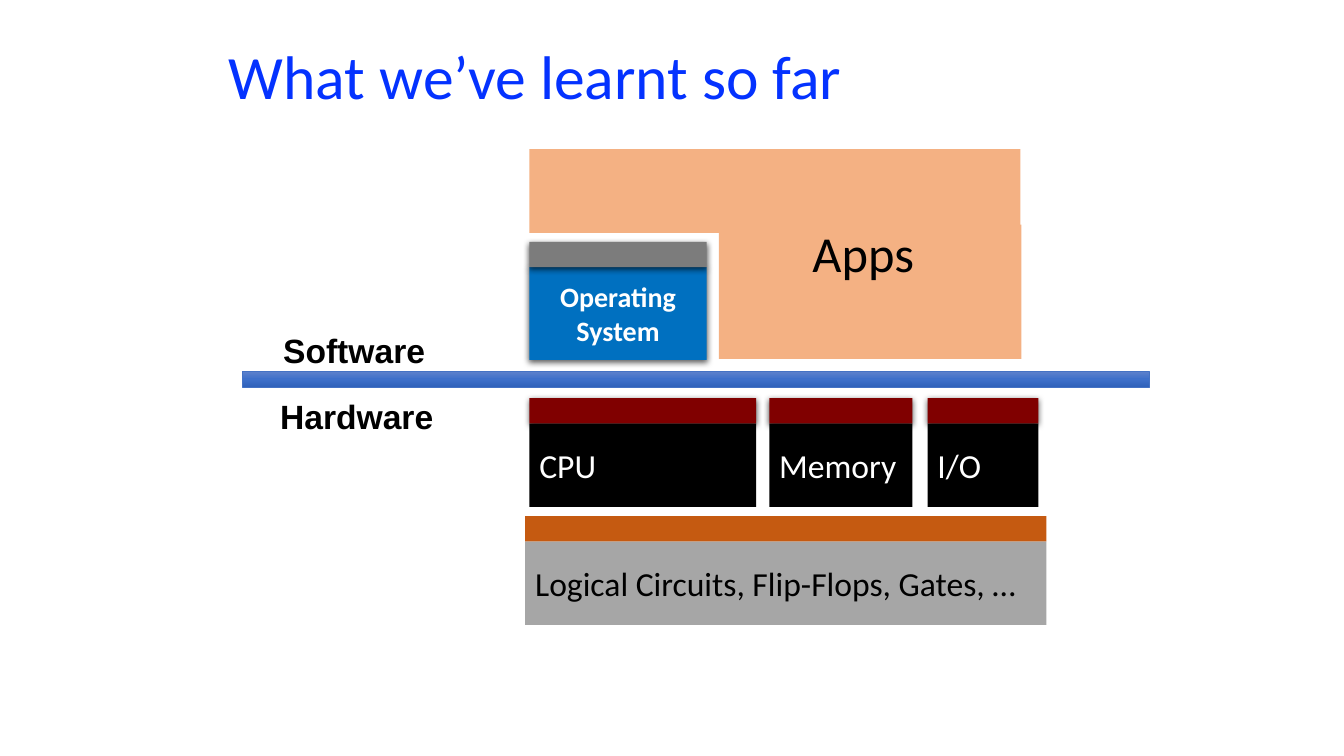
from lxml.etree import SubElement
from pptx import Presentation
from pptx.dml.color import RGBColor
from pptx.enum.shapes import MSO_SHAPE
from pptx.enum.text import MSO_ANCHOR, MSO_AUTO_SIZE, PP_ALIGN
from pptx.oxml.ns import qn
from pptx.util import Inches, Pt

CAP_HEIGHT = 0.25


def color(value):
    return RGBColor.from_string(value)


class LayerDiagram:
    """Draws the layers of a computer on one slide."""

    font = "Calibri"
    black = "000000"
    white = "FFFFFF"

    def __init__(self, deck):
        self.page = deck.slides.add_slide(deck.slide_layouts[5])

    def set_text(self, frame, text, size, ink, font=None, bold=False, align=PP_ALIGN.LEFT):
        frame.text = text
        para = frame.paragraphs[0]
        para.alignment = align
        for span in para.runs:
            span.font.name = font or self.font
            span.font.size = Pt(size)
            span.font.bold = bold
            span.font.color.rgb = color(ink)

    def title(self, text):
        title = self.page.shapes.title
        title.left, title.top = Inches(2.17), Inches(0.16)
        title.width, title.height = Inches(9), Inches(1.25)
        frame = title.text_frame
        frame.auto_size = MSO_AUTO_SIZE.NONE
        frame.vertical_anchor = MSO_ANCHOR.MIDDLE
        self.set_text(frame, text, 44, "0432FF")
        frame.paragraphs[0].line_spacing = 0.9

    def label(self, text, left, top, width, height, size, font=None, bold=False):
        box = self.page.shapes.add_textbox(
            Inches(left), Inches(top), Inches(width), Inches(height))
        box.text_frame.word_wrap = False
        box.text_frame.auto_size = MSO_AUTO_SIZE.SHAPE_TO_FIT_TEXT
        self.set_text(box.text_frame, text, size, self.black, font, bold)

    def bar(self, left, top, width, height, fill=None, shadow=False):
        bar = self.page.shapes.add_shape(
            MSO_SHAPE.RECTANGLE, Inches(left), Inches(top), Inches(width), Inches(height))
        bar.shadow.inherit = False
        bar.line.fill.background()
        if fill:
            bar.fill.solid()
            bar.fill.fore_color.rgb = color(fill)
        if shadow:
            self.cast_shadow(bar)
        return bar

    def cast_shadow(self, bar):
        effects = bar._element.spPr.find(qn("a:effectLst"))
        outer = SubElement(effects, qn("a:outerShdw"), blurRad=str(Pt(4.5)),
                           dist=str(Pt(1.5)), dir="5400000", rotWithShape="0")
        tint = SubElement(outer, qn("a:srgbClr"), val=self.black)
        SubElement(tint, qn("a:alpha"), val="63000")

    def block(self, text, left, top, width, height, fill, cap, ink,
              size=24, bold=False, align=PP_ALIGN.LEFT, shadow=False, cap_shadow=True):
        body = self.bar(left, top + CAP_HEIGHT, width, height, fill, shadow)
        body.text_frame.word_wrap = True
        body.text_frame.vertical_anchor = MSO_ANCHOR.MIDDLE
        self.set_text(body.text_frame, text, size, ink, bold=bold, align=align)
        self.bar(left, top, width, CAP_HEIGHT, cap, cap_shadow)

    def divider(self, left, top, width, height, stops):
        divider = self.bar(left, top, width, height)
        divider.line.color.rgb = color("4472C4")
        divider.line.width = Pt(0.5)
        divider.fill.gradient()
        gradient = divider._element.spPr.find(qn("a:gradFill"))
        for child in list(gradient):
            gradient.remove(child)
        stop_list = SubElement(gradient, qn("a:gsLst"))
        for position, value in stops:
            stop = SubElement(stop_list, qn("a:gs"), pos=str(position * 1000))
            SubElement(stop, qn("a:srgbClr"), val=value)
        SubElement(gradient, qn("a:lin"), ang="5400000", scaled="0")


def main():
    deck = Presentation()
    deck.slide_width, deck.slide_height = Inches(13.33), Inches(7.5)
    diagram = LayerDiagram(deck)
    diagram.title("What we’ve learnt so far")
    diagram.label("Hardware", 2.68, 3.88, 1.74, 0.5, 24, "Arial", True)
    diagram.label("Software", 2.71, 3.22, 1.62, 0.5, 24, "Arial", True)

    diagram.block("Logical Circuits, Flip-Flops, Gates, …", 5.21, 5.12, 5.17, 0.83,
                  "A6A6A6", "C55A11", diagram.black, cap_shadow=False)
    for name, left, width in (("CPU", 5.25, 2.25), ("Memory", 7.63, 1.42), ("I/O", 9.2, 1.1)):
        diagram.block(name, left, 3.95, width, 0.83, diagram.black, "800000", diagram.white)
    diagram.block("Operating System", 5.25, 2.4, 1.76, 0.92, "0070C0", "7C7C7C",
                  diagram.white, size=20, bold=True, align=PP_ALIGN.CENTER, shadow=True)

    apps_fill = "F4B183"
    diagram.bar(5.25, 1.48, 4.87, 0.83, apps_fill)
    diagram.bar(7.13, 2.23, 3, 1.33, apps_fill)
    diagram.label("Apps", 7.96, 2.15, 1.24, 0.71, 36)
    diagram.divider(2.4, 3.68, 9, 0.16, ((0, "6183CB"), (50, "3E70CA"), (100, "3062BB")))
    deck.save("out.pptx")


if __name__ == "__main__":
    main()
